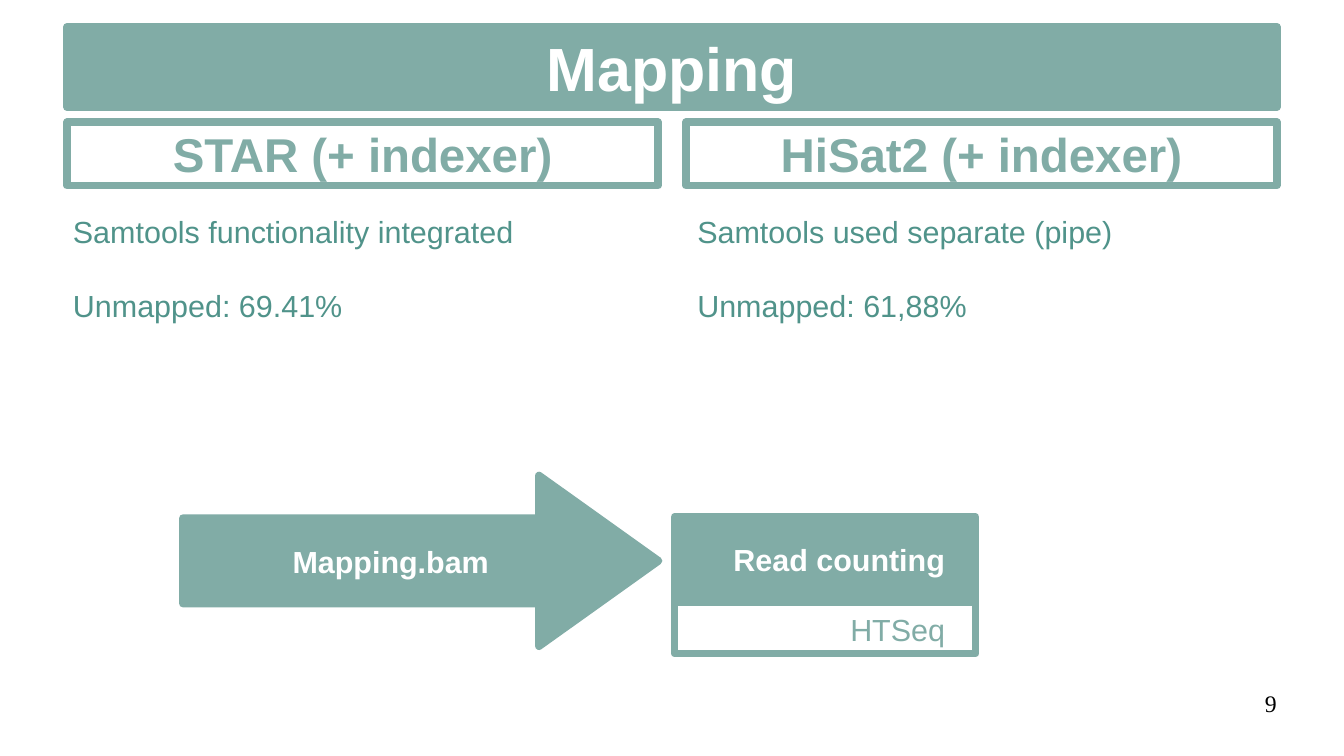
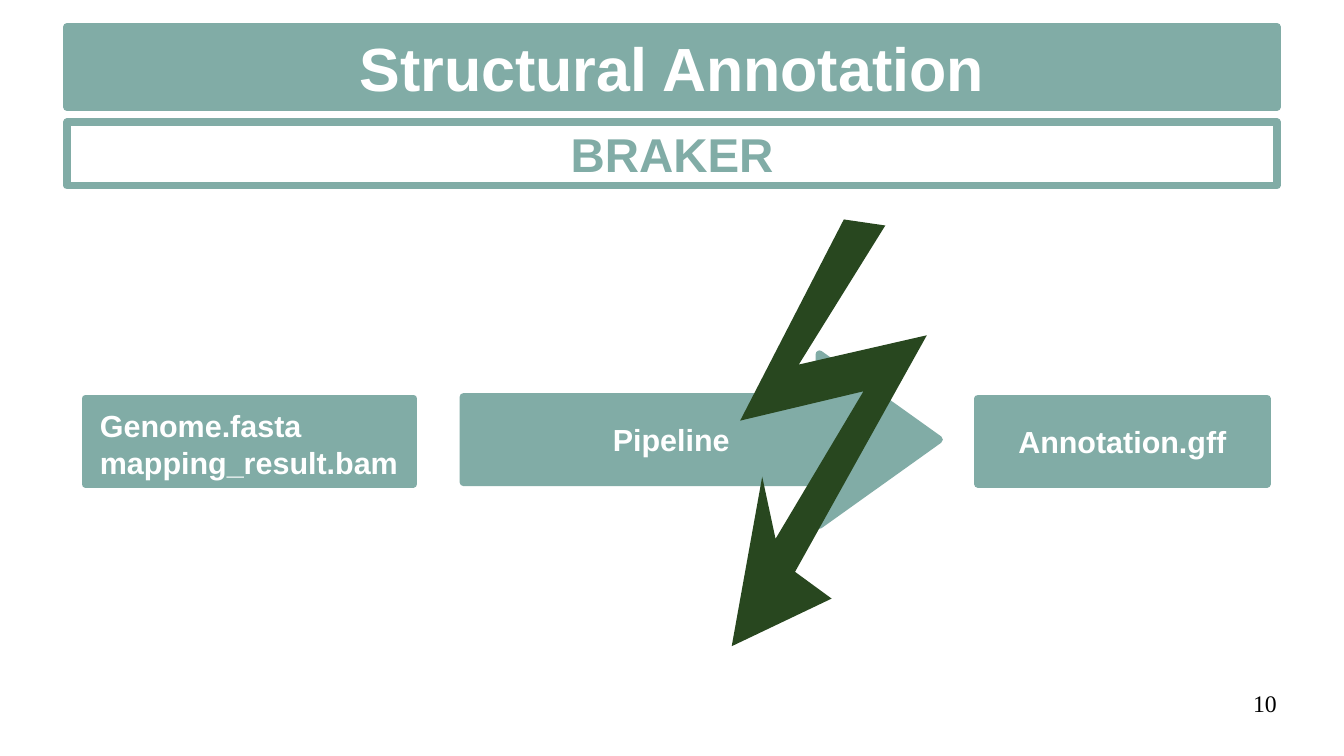
from pptx import Presentation
from pptx.dml.color import RGBColor
from pptx.enum.shapes import MSO_SHAPE
from pptx.enum.text import MSO_ANCHOR, MSO_AUTO_SIZE, PP_ALIGN
from pptx.util import Pt

RECT, ARROW = MSO_SHAPE.RECTANGLE, MSO_SHAPE.RIGHT_ARROW
LEFT, CENTER, RIGHT = PP_ALIGN.LEFT, PP_ALIGN.CENTER, PP_ALIGN.RIGHT
TOP, MIDDLE = MSO_ANCHOR.TOP, MSO_ANCHOR.MIDDLE
NO_FIT = MSO_AUTO_SIZE.NONE

SAGE, TEAL, FOREST, WHITE, BLACK = "81ACA6", "50938A", "28471F", "FFFFFF", "000000"
MARGIN, CONTENT_W, COLUMN_GAP = 39.6, 714.2, 16.5
TITLE_INSETS = (2.2, 2.2, 2.2, 2.2)
BOX_INSETS = (8.6, 5, 8.6, 5)
RIGHT_INSETS = (8.6, 5, 18, 5)
NOTE_INSETS = (7.2, 3.6, 7.2, 3.6)

MAPPERS = [
    ("STAR (+ indexer)", 36, ["Samtools functionality integrated", "Unmapped: 69.41%"]),
    ("HiSat2 (+ indexer)", 404.6, ["Samtools used separate (pipe)", "Unmapped: 61,88%"]),
]
BOLT = [
    (547.2, 198), (471.6, 215.3), (522.7, 133.2), (498.2, 129.6),
    (437, 248.4), (509.8, 231.1), (457.9, 318.2), (450, 281.5),
    (432, 381.6), (491, 353.5), (469.4, 337.7),
]


def rgb(value):
    return RGBColor.from_string(value)


def write(s, lines, size=18, color=WHITE, bold=False, align=CENTER, anchor=MIDDLE,
          insets=BOX_INSETS, gap=0, wrap=True, font="Arial"):
    tf = s.text_frame
    tf.auto_size = NO_FIT
    tf.word_wrap = wrap
    tf.vertical_anchor = anchor
    tf.margin_left, tf.margin_top, tf.margin_right, tf.margin_bottom = map(Pt, insets)
    for i, line in enumerate(lines):
        p = tf.add_paragraph() if i else tf.paragraphs[0]
        p.alignment = align
        p.space_before = Pt(gap if i else 0)
        r = p.add_run()
        r.text = line
        r.font.name, r.font.size, r.font.bold = font, Pt(size), bold
        r.font.color.rgb = rgb(color)


def paint(s, filled=True):
    s.shadow.inherit = False
    if filled:
        s.fill.solid()
        s.fill.fore_color.rgb = rgb(SAGE)
    else:
        s.fill.background()
    s.line.color.rgb = rgb(SAGE)
    s.line.width = Pt(4.5)


def add_box(slide, at, lines, shape=RECT, filled=True, **text_format):
    s = slide.shapes.add_shape(shape, *map(Pt, at))
    paint(s, filled)
    text_format = {"bold": filled, "color": WHITE if filled else SAGE, **text_format}
    write(s, lines, **text_format)
    return s


def add_text(slide, at, lines, **text_format):
    s = slide.shapes.add_textbox(*map(Pt, at))
    write(s, lines, anchor=TOP, **text_format)


def add_heading(slide, left, width, text):
    add_box(slide, (left, 72.2, width, 37.4), [text], filled=False,
            size=28, bold=True, insets=TITLE_INSETS)


def add_arrow(slide, left, top, text):
    s = add_box(slide, (left, top, 280.8, 100.8), [text], shape=ARROW, wrap=False)
    s.adjustments[0], s.adjustments[1] = 0.5, 0.7


def add_slide(prs, title, number):
    slide = prs.slides.add_slide(prs.slide_layouts[5])
    s = slide.shapes.title
    s.left, s.top, s.width, s.height = map(Pt, (MARGIN, 15.8, CONTENT_W, 47.5))
    paint(s)
    write(s, [title], size=36, bold=True, insets=TITLE_INSETS)
    add_text(slide, (568.8, 406.8, 185, 31), [number], size=14, color=BLACK,
             align=RIGHT, insets=(0, 0, 0, 0), font="Times New Roman")
    return slide


def build_mapping(prs):
    slide = add_slide(prs, "Mapping", "9")
    column_w = (CONTENT_W - COLUMN_GAP) / 2
    for i, (name, note_left, notes) in enumerate(MAPPERS):
        add_heading(slide, MARGIN + i * (column_w + COLUMN_GAP), column_w, name)
        add_text(slide, (note_left, 122.4, 274, 67.7), notes, color=TEAL, align=LEFT,
                 insets=NOTE_INSETS, gap=22, wrap=False)
    add_arrow(slide, 108, 280.8, "Mapping.bam")
    add_box(slide, (398.2, 305.3, 177.8, 50.4), ["Read counting"],
            align=RIGHT, insets=RIGHT_INSETS)
    add_box(slide, (398.2, 355.7, 177.8, 30.2), ["HTSeq"], filled=False,
            align=RIGHT, anchor=TOP, insets=RIGHT_INSETS)


def build_annotation(prs):
    slide = add_slide(prs, "Structural Annotation", "10")
    add_heading(slide, MARGIN, CONTENT_W, "BRAKER")
    add_box(slide, (50.4, 235.4, 193.7, 50.4), ["Genome.fasta", "mapping_result.bam"],
            align=LEFT, anchor=TOP, wrap=False)
    add_arrow(slide, 273.6, 209.2, "Pipeline")
    add_box(slide, (577.4, 235.4, 170.6, 50.4), ["Annotation.gff"])
    points = [(Pt(x), Pt(y)) for x, y in BOLT]
    builder = slide.shapes.build_freeform(*points[0])
    builder.add_line_segments(points[1:], close=True)
    s = builder.convert_to_shape()
    s.shadow.inherit = False
    s.fill.solid()
    s.fill.fore_color.rgb = rgb(FOREST)
    s.line.fill.background()


def main():
    prs = Presentation()
    prs.slide_width, prs.slide_height = Pt(793.44), Pt(446.4)
    build_mapping(prs)
    build_annotation(prs)
    prs.save("out.pptx")


if __name__ == "__main__":
    main()
